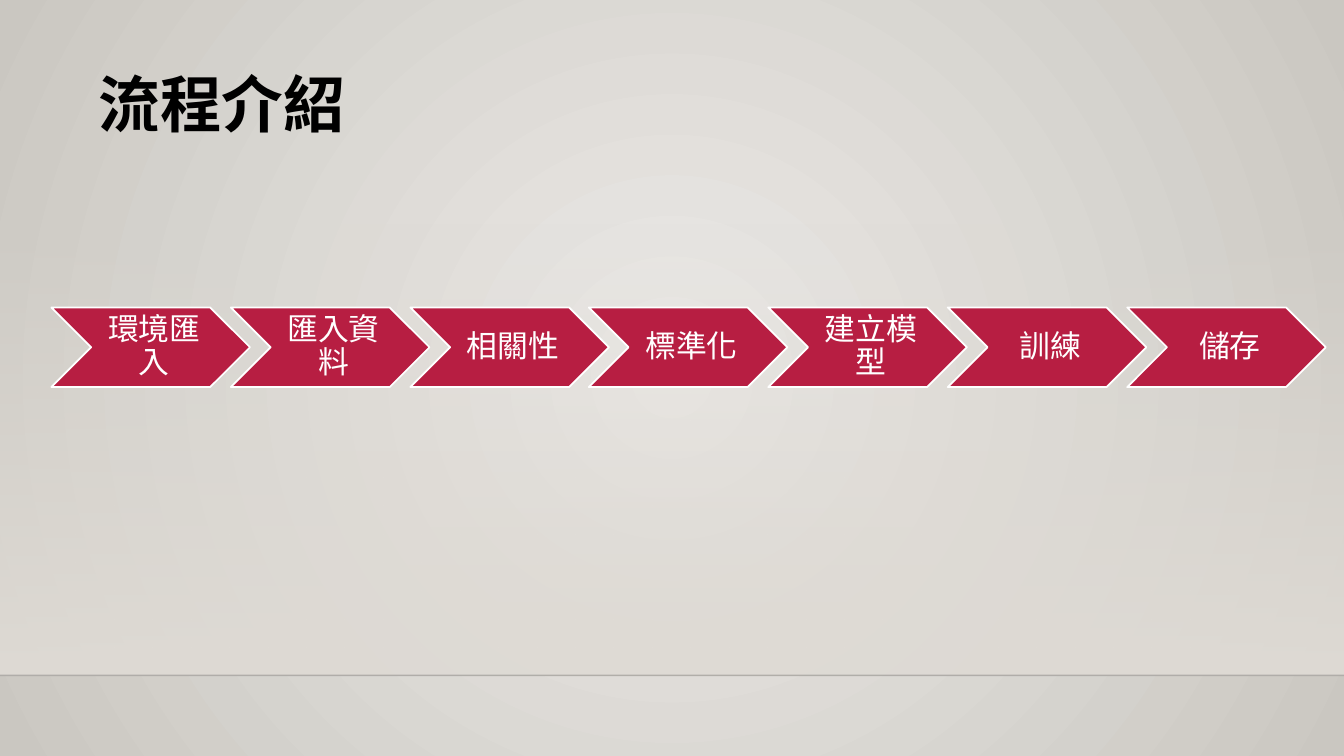
import dataclasses

import lxml.etree
import pptx
import pptx.dml.color
import pptx.enum.dml
import pptx.enum.lang
import pptx.enum.shapes
import pptx.enum.text
import pptx.oxml.ns
import pptx.util

PX = 9144
PAGE_WIDTH, PAGE_HEIGHT = 1333, 750
FLOOR_TOP, FLOOR_BOTTOM = 221, 670
FIRST_LEFT, LAST_LEFT = 51, 1118
CHEVRON_TOP, CHEVRON_WIDTH, CHEVRON_HEIGHT = 305, 197, 79
STEP_NAMES = ["環境匯入", "匯入資料", "相關性", "標準化", "建立模型", "訓練", "儲存"]


@dataclasses.dataclass(frozen=True)
class Step:
    """One chevron of the process."""
    name: str
    left: int


def px(length: int) -> pptx.util.Emu:
    return pptx.util.Emu(length * PX)


def colour(value: str) -> pptx.dml.color.RGBColor:
    return pptx.dml.color.RGBColor.from_string(value)


def add_child(parent, tag: str, **attributes: str):
    return lxml.etree.SubElement(parent, pptx.oxml.ns.qn(tag), attributes)


def set_alpha(element, value: str, percent: int) -> None:
    for node in element.iter(pptx.oxml.ns.qn("a:srgbClr")):
        if node.get("val") == value:
            add_child(node, "a:alpha", val=str(percent * 1000))
            return


def set_gradient(fill, start: str, end: str) -> None:
    fill.gradient()
    for stop, value in zip(fill.gradient_stops, (start, end)):
        stop.color.rgb = colour(value)


def style_text(para, size: int, font: str, value: str, bold: bool = False) -> None:
    for span in para.runs:
        span.font.size = pptx.util.Pt(size)
        span.font.name = font
        span.font.bold = bold
        span.font.color.rgb = colour(value)
        span.font.language_id = pptx.enum.lang.MSO_LANGUAGE_ID.TRADITIONAL_CHINESE


def draw_background(page) -> None:
    set_gradient(page.background.fill, "ECEAE7", "CAC7C1")
    gradient = next(page.element.iter(pptx.oxml.ns.qn("a:gradFill")))
    gradient.remove(gradient.find(pptx.oxml.ns.qn("a:lin")))
    circle = add_child(gradient, "a:path", path="circle")
    add_child(circle, "a:fillToRect", l="50000", t="50000", r="50000", b="50000")


def draw_floor(page) -> None:
    floor = page.shapes.add_shape(
        pptx.enum.shapes.MSO_SHAPE.RECTANGLE,
        px(0), px(FLOOR_TOP), px(PAGE_WIDTH), px(FLOOR_BOTTOM - FLOOR_TOP))
    floor.shadow.inherit = False
    floor.line.fill.background()
    set_gradient(floor.fill, "DFDBD5", "DFDBD5")
    floor.fill.gradient_angle = 270
    set_alpha(floor.element, "DFDBD5", 0)

    edge = page.shapes.add_connector(
        pptx.enum.shapes.MSO_CONNECTOR.STRAIGHT,
        px(0), px(FLOOR_BOTTOM), px(PAGE_WIDTH), px(FLOOR_BOTTOM))
    edge.line.color.rgb = colour("000001")
    edge.line.width = pptx.util.Pt(1)
    set_alpha(edge.element, "000001", 20)
    add_child(edge.element.spPr, "a:effectLst")


def draw_title(page, text: str) -> None:
    box = page.shapes.add_textbox(px(88), px(61), px(267), px(84))
    frame = box.text_frame
    frame.text = text
    frame.word_wrap = False
    frame.auto_size = pptx.enum.text.MSO_AUTO_SIZE.SHAPE_TO_FIT_TEXT
    style_text(frame.paragraphs[0], 44, "Noto Sans CJK SC", "000000", bold=True)
    for properties in box.element.iter(pptx.oxml.ns.qn("a:rPr")):
        add_child(properties, "a:ea", typeface="Noto Sans CJK SC")


def draw_step(page, step: Step) -> None:
    chevron = page.shapes.add_shape(
        pptx.enum.shapes.MSO_SHAPE.CHEVRON,
        px(step.left), px(CHEVRON_TOP), px(CHEVRON_WIDTH), px(CHEVRON_HEIGHT))
    chevron.shadow.inherit = False
    chevron.fill.solid()
    chevron.fill.fore_color.rgb = colour("B71E42")
    chevron.line.color.rgb = colour("FFFFFF")
    chevron.line.width = pptx.util.Pt(1.25)
    frame = chevron.text_frame
    frame.text = step.name
    frame.word_wrap = True
    frame.vertical_anchor = pptx.enum.text.MSO_ANCHOR.MIDDLE
    frame.margin_left = px(10)
    frame.margin_top = frame.margin_right = frame.margin_bottom = px(3)
    para = frame.paragraphs[0]
    para.alignment = pptx.enum.text.PP_ALIGN.CENTER
    para.line_spacing = 0.9
    style_text(para, 22, "Calibri", "FFFFFF")


def main() -> None:
    deck = pptx.Presentation()
    deck.slide_width, deck.slide_height = px(PAGE_WIDTH), px(PAGE_HEIGHT)
    page = deck.slides.add_slide(deck.slide_layouts[6])
    draw_background(page)
    draw_floor(page)
    pitch = (LAST_LEFT - FIRST_LEFT) / (len(STEP_NAMES) - 1)
    for index, name in enumerate(STEP_NAMES):
        draw_step(page, Step(name, round(FIRST_LEFT + index * pitch)))
    draw_title(page, "流程介紹")
    deck.save("out.pptx")


if __name__ == "__main__":
    main()
